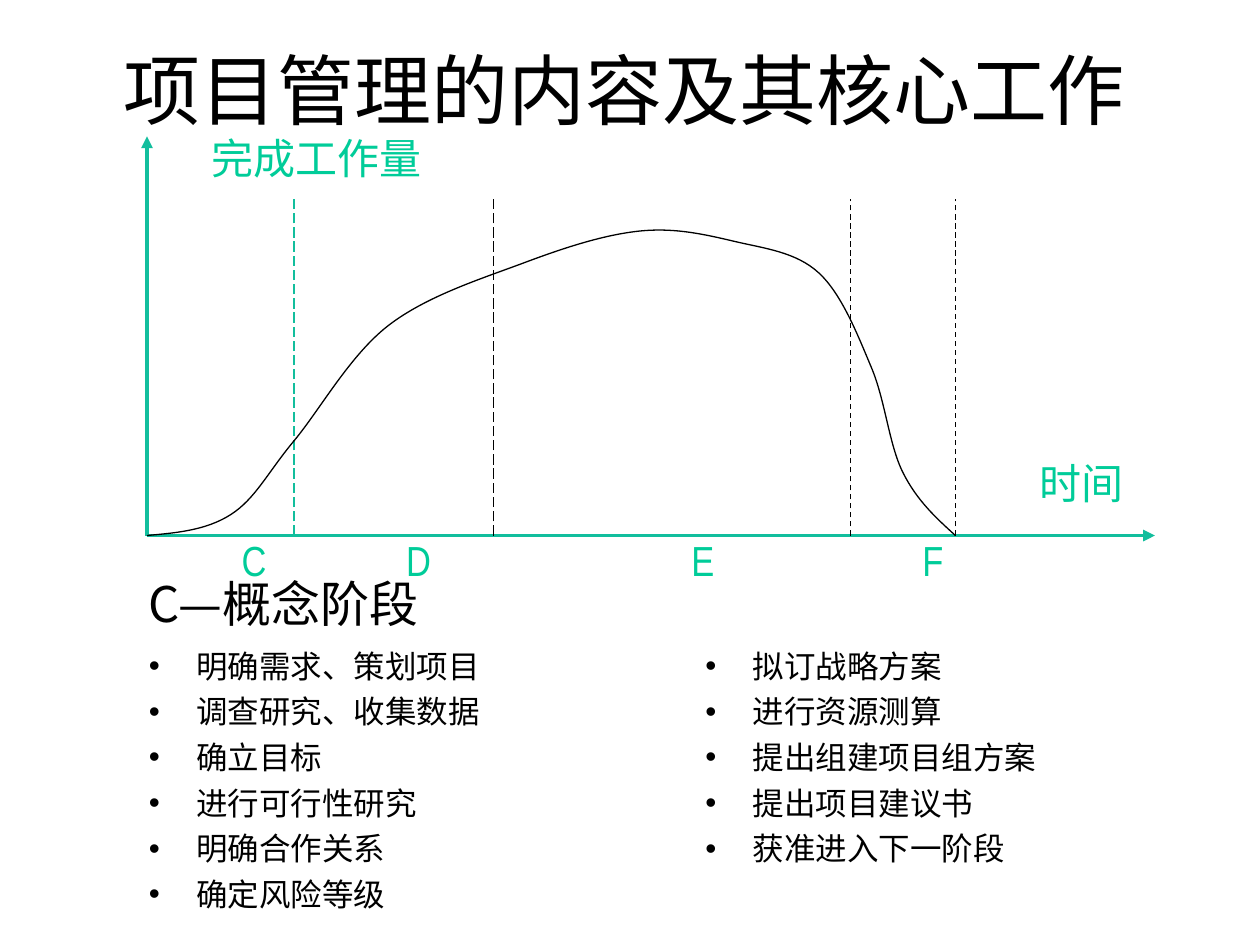
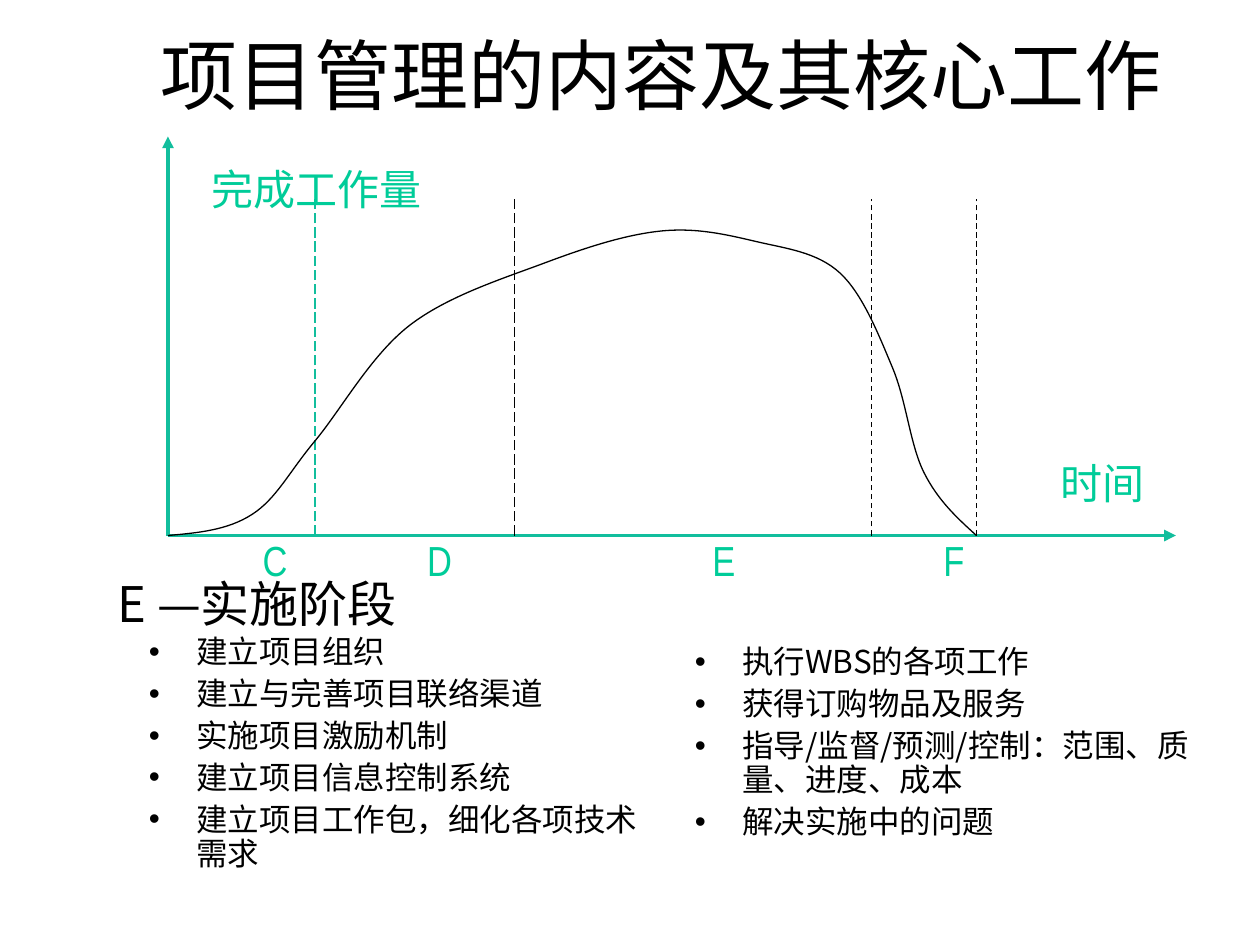
from lxml.etree import SubElement
from pptx import Presentation
from pptx.dml.color import RGBColor
from pptx.enum.dml import MSO_LINE
from pptx.enum.shapes import MSO_CONNECTOR
from pptx.enum.text import MSO_ANCHOR, PP_ALIGN
from pptx.oxml.ns import qn
from pptx.util import Pt

# Content
TITLE = "项目管理的内容及其核心工作"
EFFORT, TIME = "完成工作量", "时间"
PHASES = ["C", "D", "E", "F"]
SERIF, SANS, NARROW, CJK = "Times New Roman", "Arial", "Arial Narrow", "Noto Sans CJK SC"

# Boxes are (left, top, width, height) in points
SLIDES = [
    dict(
        title_box=(12, 12, 690, 78), axis_x=84,
        effort=((114, 72, 145, 36), NARROW),
        heading=("C—概念阶段", (78, 324, 211, 41)),
        spacing=1.0,
        columns=[
            ((78, 366, 300, 174), SERIF,
             ["明确需求、策划项目", "调查研究、收集数据", "确立目标",
              "进行可行性研究", "明确合作关系", "确定风险等级"]),
            ((396, 366, 300, 174), SERIF,
             ["拟订战略方案", "进行资源测算", "提出组建项目组方案",
              "提出项目建议书", "获准进入下一阶段"]),
        ],
    ),
    dict(
        title_box=(54, 0, 648, 84), axis_x=96,
        effort=((114, 90, 144, 36), SERIF),
        heading=("E —实施阶段", (60, 324, 211, 41)),
        spacing=0.9,
        columns=[
            ((78, 360, 300, 204), SERIF,
             ["建立项目组织", "建立与完善项目联络渠道", "实施项目激励机制",
              "建立项目信息控制系统", "建立项目工作包，细化各项技术需求"]),
            ((390, 366, 300, 150), CJK,
             ["执行WBS的各项工作", "获得订购物品及服务",
              "指导/监督/预测/控制：范围、质量、进度、成本", "解决实施中的问题"]),
        ],
    ),
]

# Diagram geometry: x is measured from the vertical axis
BASE_Y, AXIS_TOP, AXIS_LENGTH, DIVIDER_TOP = 306, 78, 576, 114
KNOTS = [(0, 306), (48, 294), (84, 252), (138, 186), (216, 150), (282, 132),
         (336, 138), (384, 156), (414, 210), (432, 270), (462, 306)]
PHASE_TABS = [94, 257, 389]

BLACK = RGBColor(0x00, 0x00, 0x00)
GREEN = RGBColor(0x00, 0xCC, 0x99)
TEAL = RGBColor(0x12, 0xBE, 0x9D)
DIVIDERS = [(84, TEAL, MSO_LINE.LONG_DASH), (198, BLACK, MSO_LINE.LONG_DASH),
            (402, BLACK, MSO_LINE.DASH), (462, BLACK, MSO_LINE.DASH)]


def add_text(s, box, lines, size, font, color=BLACK):
    tf = s.shapes.add_textbox(*map(Pt, box)).text_frame
    tf.word_wrap = True
    for i, line in enumerate(lines):
        p = tf.paragraphs[0] if i == 0 else tf.add_paragraph()
        r = p.add_run()
        r.text = line
        r.font.size, r.font.name = Pt(size), font
        r.font.color.rgb = color
        SubElement(r.font._element, qn("a:ea"), typeface=CJK)
    return tf


def add_bullets(s, box, font, items, spacing):
    tf = add_text(s, box, items, 18, font)
    for i, p in enumerate(tf.paragraphs):
        pPr = p._p.get_or_add_pPr()
        pPr.set("marL", str(Pt(27)))
        pPr.set("indent", str(-Pt(27)))
        SubElement(pPr, qn("a:buFont"), typeface=SANS)
        SubElement(pPr, qn("a:buChar"), char="•")
        p.line_spacing = spacing
        p.space_before = Pt(4.5 if i else 0)


def add_line(s, start, end, color, width=0.75, dash=None, arrow=False):
    line = s.shapes.add_connector(MSO_CONNECTOR.STRAIGHT, *map(Pt, start + end))
    line.line.color.rgb = color
    line.line.width = Pt(width)
    if dash:
        line.line.dash_style = dash
    if arrow:
        SubElement(line.line._get_or_add_ln(), qn("a:tailEnd"), type="triangle")
    SubElement(line._element.spPr, qn("a:effectLst"))


def bezier_points(knots):
    """Control points and end of each segment of a smooth curve through the knots."""
    def mid(a, b):
        return (a[0] + b[0]) / 2, (a[1] + b[1]) / 2

    def handle(i, sign):
        (x0, y0), (x, y), (x1, y1) = knots[i - 1:i + 2]
        return x + sign * (x1 - x0) / 6, y + sign * (y1 - y0) / 6

    last = len(knots) - 1
    points = []
    for i in range(last):
        c1 = handle(i, 1) if i else mid(knots[0], handle(1, -1))
        c2 = handle(i + 1, -1) if i + 1 < last else mid(c1, knots[last])
        points += [c1, c2, knots[i + 1]]
    return points


def add_curve(s, axis_x):
    def emu(point):
        return Pt(axis_x + point[0]), Pt(point[1])

    builder = s.shapes.build_freeform(*emu(KNOTS[0]), scale=1.0)
    builder.add_line_segments([emu(pt) for pt in bezier_points(KNOTS)], close=False)
    curve = builder.convert_to_shape()
    # Merge each three straight steps into one cubic segment
    outline = next(curve._element.iter(qn("a:moveTo"))).getparent()
    steps = outline.findall(qn("a:lnTo"))
    for i in range(0, len(steps), 3):
        cubic = SubElement(outline, qn("a:cubicBezTo"))
        for step in steps[i:i + 3]:
            cubic.append(step[0])
            outline.remove(step)
    curve.fill.background()
    curve.line.color.rgb = BLACK
    curve.line.width = Pt(0.75)
    curve.shadow.inherit = False


def add_diagram(s, x):
    # Axes and phase dividers
    origin = (x, BASE_Y)
    for end in [(x, AXIS_TOP), (x + AXIS_LENGTH, BASE_Y)]:
        add_line(s, origin, end, TEAL, 2.25, arrow=True)
    for dx, color, dash in DIVIDERS:
        add_line(s, (x + dx, BASE_Y), (x + dx, DIVIDER_TOP), color, dash=dash)
    # Phase letters on tab stops, then the time label
    tf = add_text(s, (x + 47, 301.7, 529, 36), ["\t".join(PHASES)], 24, NARROW, GREEN)
    tabs = SubElement(tf.paragraphs[0]._p.get_or_add_pPr(), qn("a:tabLst"))
    for stop in PHASE_TABS:
        SubElement(tabs, qn("a:tab"), pos=str(Pt(stop)), algn="l")
    add_text(s, (x + 503, 258, 73, 36), [TIME], 24, NARROW, GREEN)
    add_curve(s, x)


def build_slide(prs, content):
    s = prs.slides.add_slide(prs.slide_layouts[6])
    tf = add_text(s, content["title_box"], [TITLE], 44, SERIF)
    tf.vertical_anchor = MSO_ANCHOR.MIDDLE
    tf.paragraphs[0].alignment = PP_ALIGN.CENTER
    for box, font, items in content["columns"]:
        add_bullets(s, box, font, items, content["spacing"])
    heading, box = content["heading"]
    add_text(s, box, [heading], 28, CJK)
    add_diagram(s, content["axis_x"])
    box, font = content["effort"]
    add_text(s, box, [EFFORT], 24, font, GREEN)


def main():
    prs = Presentation()
    prs.slide_width, prs.slide_height = Pt(720), Pt(540)
    for content in SLIDES:
        build_slide(prs, content)
    prs.save("out.pptx")


if __name__ == "__main__":
    main()
